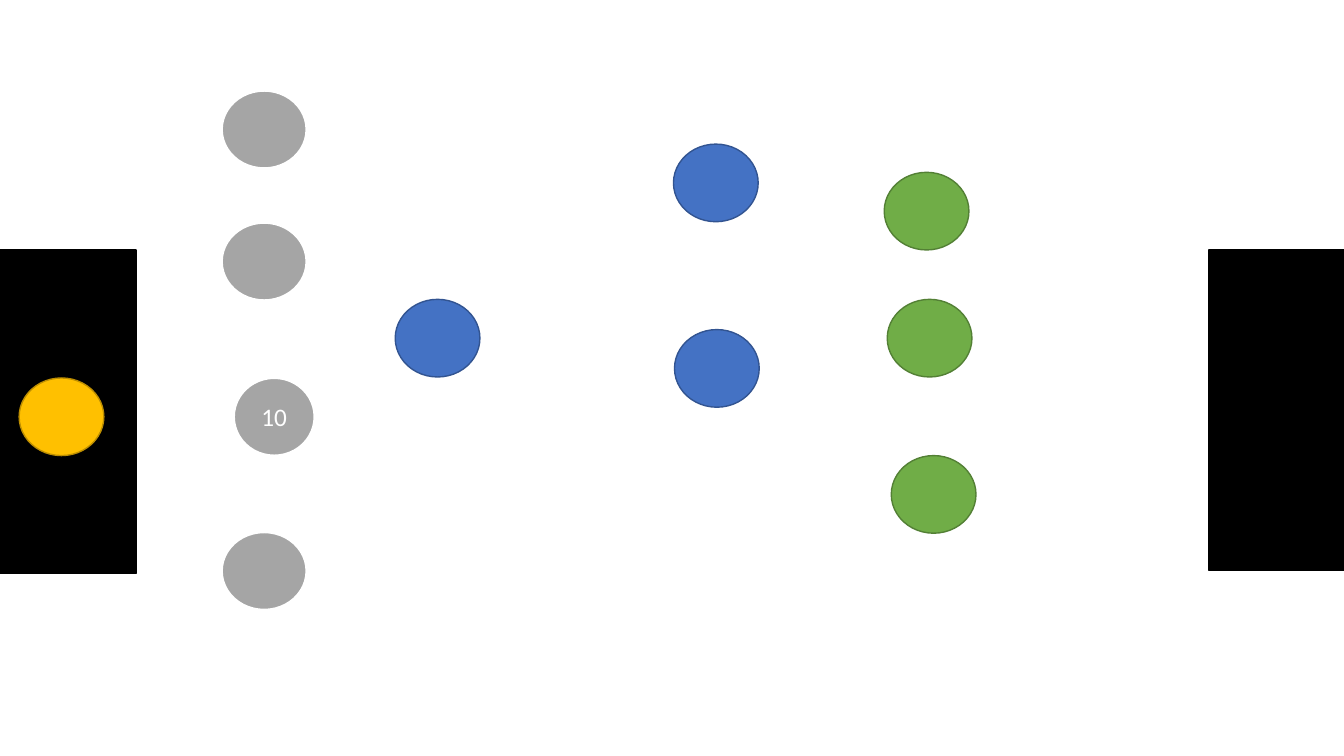
from pptx import Presentation
from pptx.dml.color import RGBColor
from pptx.enum import shapes, text
from pptx.util import Inches, Pt

GOAL_WIDTH, GOAL_HEIGHT = 1.35, 3.18
PLAYER_WIDTH, PLAYER_HEIGHT = 0.84, 0.77

prs = Presentation()
prs.slide_width, prs.slide_height = Inches(13.33), Inches(7.5)
pitch = prs.slides.add_slide(prs.slide_layouts[6])


def add_marker(kind, left, top, width, height, fill, outline, weight):
    marker = pitch.shapes.add_shape(
        kind, Inches(left), Inches(top), Inches(width), Inches(height))
    marker.shadow.inherit = False
    marker.fill.solid()
    marker.fill.fore_color.rgb = RGBColor.from_string(fill)
    marker.line.color.rgb = RGBColor.from_string(outline)
    marker.line.width = Pt(weight)
    return marker


for left, top in [(0, 2.48), (0, 2.51), (11.99, 2.48)]:
    add_marker(shapes.MSO_SHAPE.RECTANGLE, left, top, GOAL_WIDTH, GOAL_HEIGHT,
               "000000", "000000", 1)

# Each line of the team: fill, outline, outline weight, player positions
team = [
    ("A5A5A5", "FFFFFF", 1.5, [(2.2, 0.9), (2.2, 2.21), (2.2, 5.28)]),
    ("4472C4", "325491", 1, [(3.92, 2.97), (6.68, 1.43), (6.69, 3.27)]),
    ("70AD47", "538035", 1, [(8.77, 1.71), (8.8, 2.97), (8.84, 4.52)]),
    ("FFC000", "BD8E00", 1, [(0.19, 3.75)]),
]
for fill, outline, weight, positions in team:
    for left, top in positions:
        add_marker(shapes.MSO_SHAPE.OVAL, left, top, PLAYER_WIDTH, PLAYER_HEIGHT,
                   fill, outline, weight)

numbered_player = add_marker(shapes.MSO_SHAPE.OVAL, 2.32, 3.75, 0.8, PLAYER_HEIGHT,
                             "A5A5A5", "FFFFFF", 1.5)
frame = numbered_player.text_frame
frame.vertical_anchor = text.MSO_ANCHOR.MIDDLE
number = frame.paragraphs[0]
number.text = "10"
number.alignment = text.PP_ALIGN.CENTER
for attribute, value in {"name": "Calibri", "size": Pt(18)}.items():
    setattr(number.runs[0].font, attribute, value)
number.runs[0].font.color.rgb = RGBColor.from_string("FFFFFF")

prs.save("out.pptx")
